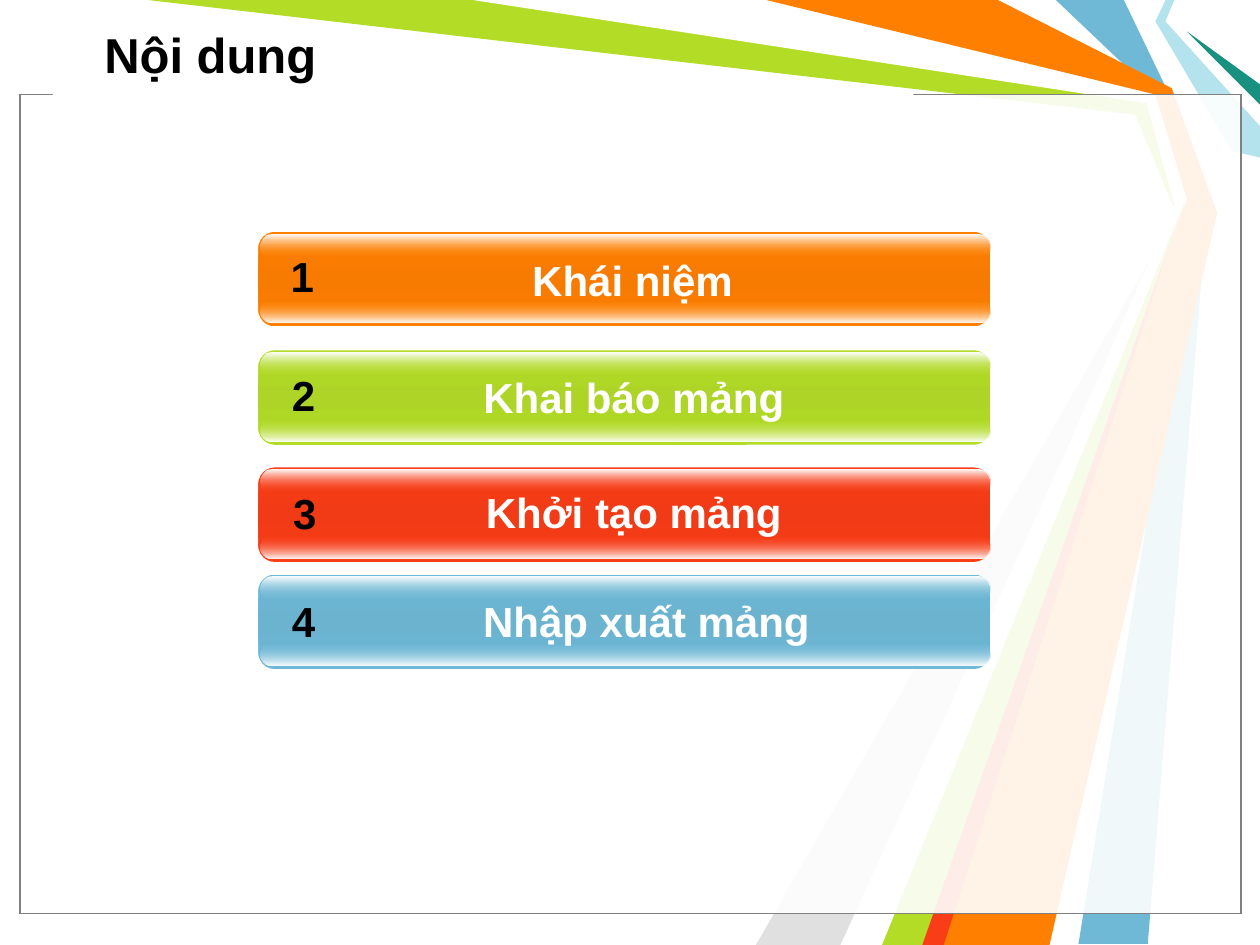
from lxml import etree
from pptx import Presentation
from pptx.dml.color import RGBColor
from pptx.enum.shapes import MSO_SHAPE as Shape
from pptx.enum.text import MSO_ANCHOR as Anchor, PP_ALIGN as Align
from pptx.oxml.ns import qn
from pptx.util import Cm, Pt

# Content: all lengths below are in inches
TITLE = "Nội dung"
ITEMS = [  # label, colour, middle colour, bar top, label left/top, number left/top
    ("Khái niệm", "FF7F00", "F67B00", 1.84, (2.56, 1.97), (2.19, 1.94)),
    ("Khai báo mảng", "B3DC27", "ADD426", 2.78, (2.57, 2.9), (2.2, 2.88)),
    ("Khởi tạo mảng", "F93D17", "F03B16", 3.71, (2.57, 3.81), (2.21, 3.82)),
    ("Nhập xuất mảng", "6FB9D7", "6BB3CF", 4.56, (2.67, 4.68), (2.2, 4.68)),
]
# Background ribbons, points in hundredths of an inch
RIBBONS = [
    ("6FB9D7", [(892, 0), (929, 77), (958, 167), (911, 749), (856, 749),
                (950, 167), (917, 75), (838, 0)]),
    ("B3DC27", [(117, 0), (383, 0), (914, 78), (942, 169), (742, 750),
                (692, 750), (935, 173), (901, 91)]),
    ("E0E0E0", [(667, 750), (927, 181), (600, 750)]),
    ("FFFFFF", [(375, 0), (910, 82), (932, 162), (675, 750), (700, 750),
                (941, 158), (917, 75), (600, 0)]),
    ("B4E3EE", [(925, 0), (917, 17), (978, 120), (1000, 125), (1000, 100),
                (925, 17), (932, 0)]),
    ("189180", [(1000, 83), (942, 25), (1000, 67)]),
    ("FF7F00", [(608, 0), (792, 0), (930, 70), (966, 169), (833, 750),
                (733, 750), (942, 158), (917, 75)]),
    ("F93D17", [(732, 750), (932, 183), (749, 750)]),
]


def inch(value):
    return Cm(value * 2.54)


def rgb(code):
    return RGBColor.from_string(code)


def set_alpha(color_element, percent):
    etree.SubElement(color_element, qn("a:alpha"), val=str(percent * 1000))


def paint(shape, color):
    shape.shadow.inherit = False
    shape.fill.solid()
    shape.fill.fore_color.rgb = rgb(color)
    shape.line.fill.background()


def add_box(kind, left, top, width, height, color):
    shape = page.shapes.add_shape(kind, *map(inch, (left, top, width, height)))
    paint(shape, color)
    return shape


def add_gradient_bar(left, top, width, height, rounding, stops):
    """Vertical gradient; stops are (position, colour, opacity) in percent."""
    bar = add_box(Shape.ROUNDED_RECTANGLE, left, top, width, height, "FFFFFF")
    bar.adjustments[0] = rounding
    bar.fill.gradient()
    bar.fill.gradient_angle = 270
    stop_list = bar._element.spPr.find(".//" + qn("a:gsLst"))
    for old in list(stop_list):
        stop_list.remove(old)
    for position, color, opacity in stops:
        stop = etree.SubElement(stop_list, qn("a:gs"), pos=str(position * 1000))
        color_element = etree.SubElement(stop, qn("a:srgbClr"), val=color)
        if opacity < 100:
            set_alpha(color_element, opacity)


def add_text(text, left, top, width, height, size, color, align, anchor=Anchor.TOP):
    box = page.shapes.add_textbox(*map(inch, (left, top, width, height)))
    frame = box.text_frame
    frame.word_wrap = True
    frame.vertical_anchor = anchor
    frame.text = text
    para = frame.paragraphs[0]
    para.alignment = align
    font = para.runs[0].font
    font.name, font.size, font.bold = "Arial", Pt(size), True
    font.color.rgb = rgb(color)


deck = Presentation()
deck.slide_width, deck.slide_height = inch(10), inch(7.5)
page = deck.slides.add_slide(deck.slide_layouts[6])

# Background ribbons
for color, points in RIBBONS:
    builder = page.shapes.build_freeform(*points[0], scale=inch(0.01))
    builder.add_line_segments(points[1:], close=True)
    paint(builder.convert_to_shape(), color)

# Translucent framed panel, with its top edge broken behind the title
for line_color in ("000000", "808080"):
    panel = add_box(Shape.RECTANGLE, 0.16, 0.75, 9.69, 6.5, "FFFFFF")
    set_alpha(panel._element.spPr.find(qn("a:solidFill"))[0], 69)
    panel.line.color.rgb = rgb(line_color)
    panel.line.width = Pt(0.75)
add_box(Shape.RECTANGLE, 0.42, 0.74, 6.83, 0.17, "FFFFFF")

# Title
add_text(TITLE, 0.73, 0.08, 9.11, 0.69, 28, "000000", Align.LEFT, Anchor.MIDDLE)

# Glossy bars with number and label
for number, (label, color, middle, top, label_at, number_at) in enumerate(ITEMS, 1):
    add_gradient_bar(2.05, top, 5.81, 0.75, 0.175,
                     [(0, color, 100), (50, middle, 100), (100, color, 100)])
    add_gradient_bar(2.07, top + 0.54, 5.79, 0.18, 0.5,
                     [(0, color, 0), (100, "FFFFFF", 100)])
    add_gradient_bar(2.07, top + 0.02, 5.79, 0.18, 0.5,
                     [(0, "FFFFFF", 100), (100, color, 0)])
    add_text(label, *label_at, 4.92, 0.5, 24, "FFFFFF", Align.CENTER)
    add_text(str(number), *number_at, 0.42, 0.5, 24, "000000", Align.CENTER)

deck.save("out.pptx")
